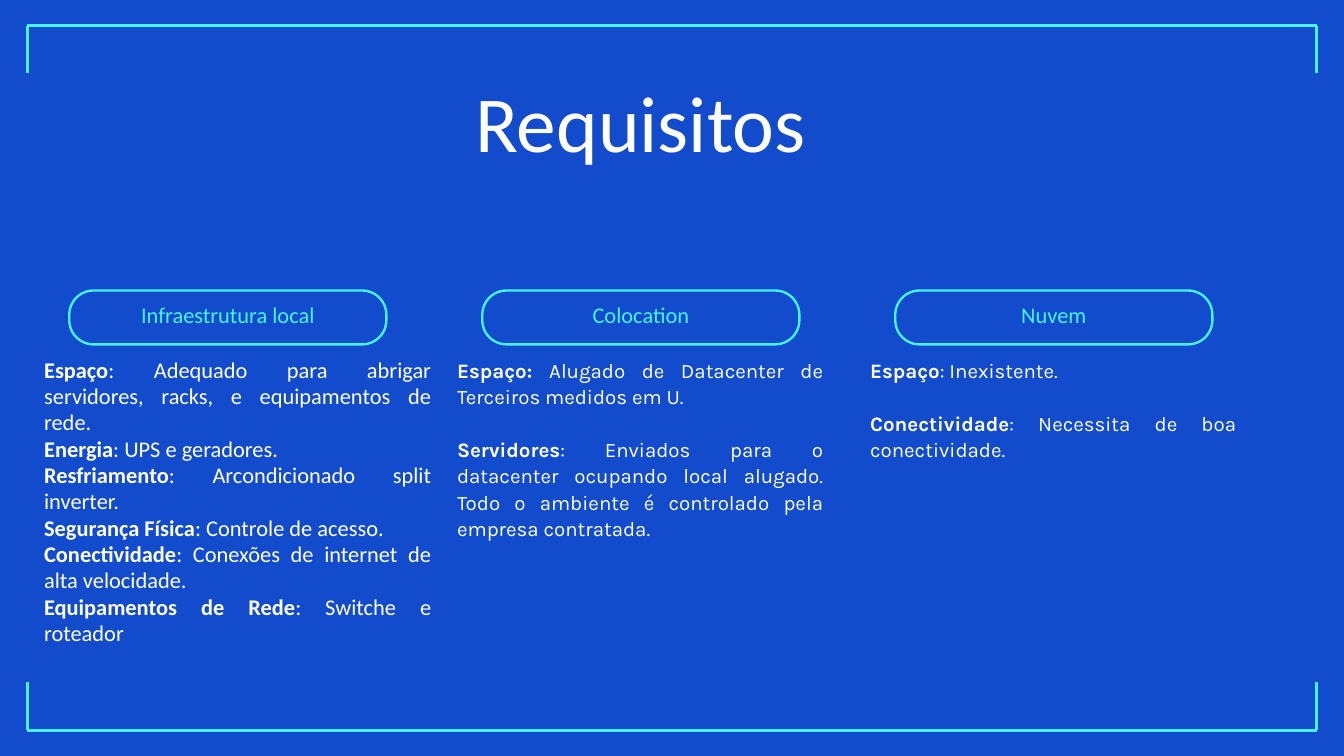
from pptx import Presentation
from pptx.dml.color import RGBColor
from pptx.enum.shapes import MSO_CONNECTOR, MSO_SHAPE
from pptx.enum.text import MSO_ANCHOR, PP_ALIGN
from pptx.oxml.ns import qn
from pptx.util import Emu, Pt
from lxml.etree import SubElement

BLUE = RGBColor(0x12, 0x4C, 0xCD)
CYAN = RGBColor(0x47, 0xF4, 0xF4)
WHITE = RGBColor(0xFF, 0xFF, 0xFF)

COLUMN_LEFT, COLUMN_PITCH = 63, 590
FRAME_LEFT, FRAME_TOP, FRAME_RIGHT, FRAME_BOTTOM = 39, 37, 1881, 1043
CORNER = 68

COLUMNS = [
    ("Infraestrutura local", "Calibri", 24, 553, 528, 0, [
        ("Espaço", ": Adequado para abrigar servidores, racks, e equipamentos de rede."),
        ("Energia", ": UPS e geradores."),
        ("Resfriamento", ": Arcondicionado split inverter."),
        ("Segurança Física", ": Controle de acesso."),
        ("Conectividade", ": Conexões de internet de alta velocidade."),
        ("Equipamentos de Rede", ": Switche e roteador"),
    ]),
    ("Colocation", "Karla", 22, 523, 451, 28.2, [
        ("Espaço: ", "Alugado de Datacenter de Terceiros medidos em U."),
        ("Servidores", ": Enviados para o datacenter ocupando local alugado. "
                       "Todo o ambiente é controlado pela empresa contratada."),
    ]),
    ("Nuvem", "Karla", 22, 523, 263, 28.2, [
        ("Espaço", ": Inexistente."),
        ("Conectividade", ": Necessita de boa conectividade."),
    ]),
]


def px(value):
    return Emu(value * 9525)


def clear_margins(text_frame):
    text_frame.word_wrap = True
    text_frame.margin_left = text_frame.margin_right = 0
    text_frame.margin_top = text_frame.margin_bottom = 0


def add_text_frame(slide, left, top, width, height):
    box = slide.shapes.add_textbox(px(left), px(top), px(width), px(height))
    clear_margins(box.text_frame)
    return box.text_frame


def format_paragraph(paragraph, alignment, spacing, font_name, size, color):
    paragraph.alignment = alignment
    paragraph.line_spacing = Pt(spacing)
    for run in paragraph.runs:
        run.font.name = font_name
        run.font.size = Pt(size)
        run.font.color.rgb = color


def add_title(slide, text):
    paragraph = add_text_frame(slide, 80, 105, 1670, 133).paragraphs[0]
    paragraph.text = text
    format_paragraph(paragraph, PP_ALIGN.CENTER, 102, "Calibri", 85, WHITE)


def add_pill(slide, left, label):
    pill = slide.shapes.add_shape(
        MSO_SHAPE.ROUNDED_RECTANGLE, px(left), px(415), px(453), px(77))
    pill.adjustments[0] = 0.45
    pill.shadow.inherit = False
    pill.fill.solid()
    pill.fill.fore_color.rgb = BLUE
    pill.line.color.rgb = CYAN
    pill.line.width = Pt(2.5)
    text_frame = pill.text_frame
    clear_margins(text_frame)
    text_frame.margin_bottom = px(7)
    text_frame.vertical_anchor = MSO_ANCHOR.MIDDLE
    text_frame.text = label
    format_paragraph(text_frame.paragraphs[0], PP_ALIGN.CENTER, 28.8, "Calibri", 24, CYAN)


def add_requirements(slide, left, width, height, font_name, size, gap, items):
    text_frame = add_text_frame(slide, left, 509, width, height)
    for index, (term, detail) in enumerate(items):
        paragraph = text_frame.add_paragraph() if index else text_frame.paragraphs[0]
        for text, bold in ((term, True), (detail, False)):
            run = paragraph.add_run()
            run.text = text
            run.font.bold = bold
        format_paragraph(paragraph, PP_ALIGN.JUSTIFY, 28.2, font_name, size, WHITE)
        if index and gap:
            paragraph.space_before = Pt(gap)


def add_line(slide, x1, y1, x2, y2):
    line = slide.shapes.add_connector(
        MSO_CONNECTOR.STRAIGHT, px(x1), px(y1), px(x2), px(y2))
    line.line.color.rgb = CYAN
    line.line.width = Pt(3)
    SubElement(line._element.spPr, qn("a:effectLst"))


def add_bracket(slide, edge, tip):
    add_line(slide, FRAME_LEFT, edge, FRAME_RIGHT, edge)
    for x in (FRAME_LEFT, FRAME_RIGHT):
        add_line(slide, x, edge, x, tip)


def main():
    presentation = Presentation()
    presentation.slide_width, presentation.slide_height = px(1920), px(1080)
    slide = presentation.slides.add_slide(presentation.slide_layouts[6])
    slide.background.fill.solid()
    slide.background.fill.fore_color.rgb = BLUE

    add_title(slide, "Requisitos")
    for index, (label, font_name, size, width, height, gap, items) in enumerate(COLUMNS):
        left = COLUMN_LEFT + index * COLUMN_PITCH
        add_pill(slide, left + 36, label)
        add_requirements(slide, left, width, height, font_name, size, gap, items)
    add_bracket(slide, FRAME_TOP, FRAME_TOP + CORNER)
    add_bracket(slide, FRAME_BOTTOM, FRAME_BOTTOM - CORNER)

    presentation.save("out.pptx")


if __name__ == "__main__":
    main()
